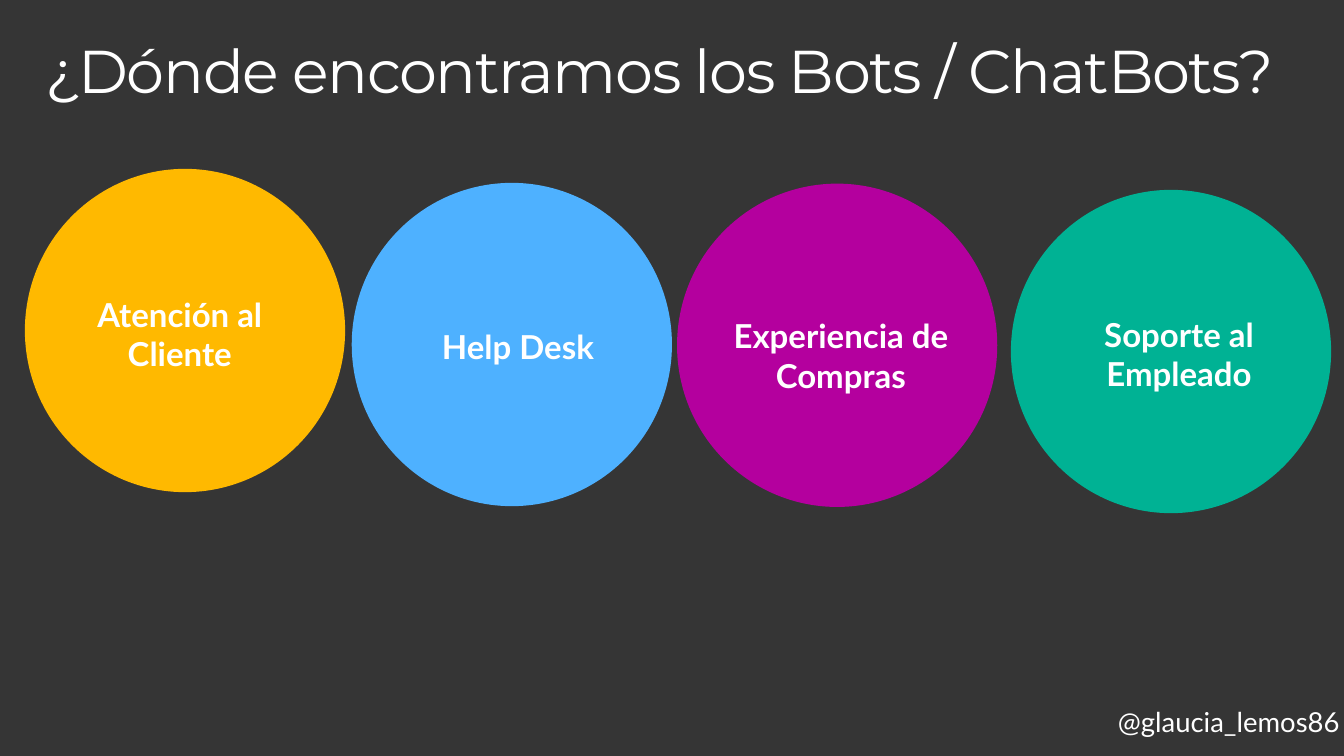
import pptx
import pptx.dml.color
import pptx.enum.shapes
import pptx.enum.text
import pptx.util

Cm = pptx.util.Cm
Pt = pptx.util.Pt
ALIGN = pptx.enum.text.PP_ALIGN

COLORS = {
    "background": "353535",
    "text": "FFFFFF",
    "yellow": "FFB900",
    "blue": "4EB1FF",
    "purple": "B4009E",
    "green": "00B294",
}


class BotSlide:
    body_font = "Lato"
    title_font = "Montserrat"
    circle_size = (8.23, 8.31)
    label_width = 7.72

    def __init__(self, deck):
        self.slide = deck.slides.add_slide(deck.slide_layouts[6])
        self.paint(self.slide.background.fill, "background")

    def paint(self, fill, color):
        fill.solid()
        fill.fore_color.rgb = pptx.dml.color.RGBColor.from_string(COLORS[color])

    def text(self, wording, box, size, font=None, bold=False, align=ALIGN.LEFT,
             insets=(0.51, 0.41), line_spacing=1.0, tracking=None):
        frame = self.slide.shapes.add_textbox(*map(Cm, box)).text_frame
        frame.word_wrap = True
        frame.vertical_anchor = pptx.enum.text.MSO_ANCHOR.TOP
        frame.margin_left = frame.margin_right = Cm(insets[0])
        frame.margin_top = frame.margin_bottom = Cm(insets[1])
        frame.text = wording
        paragraph = frame.paragraphs[0]
        paragraph.alignment = align
        paragraph.line_spacing = line_spacing
        run = paragraph.runs[0]
        run.font.name = font or self.body_font
        run.font.size = Pt(size)
        run.font.bold = bold
        self.paint(run.font.fill, "text")
        if tracking is not None:
            run.font._element.set("spc", str(tracking * 100))

    def title(self, wording):
        self.text(wording, (0.76, 0.81, 33.02, 2.54), 44, font=self.title_font,
                  insets=(0.41, 0.25), line_spacing=0.9, tracking=-1)

    def handle(self, wording):
        self.text(wording, (28.22, 17.83, 6.81, 1.6), 20, line_spacing=0.9)

    def circle(self, color, left, top):
        circle = self.slide.shapes.add_shape(
            pptx.enum.shapes.MSO_SHAPE.OVAL,
            Cm(left), Cm(top), *map(Cm, self.circle_size))
        circle.shadow.inherit = False
        self.paint(circle.fill, color)
        circle.line.fill.background()

    def label(self, wording, left, top, height):
        self.text(wording, (left, top, self.label_width, height), 24,
                  bold=True, align=ALIGN.CENTER)


def main():
    deck = pptx.Presentation()
    deck.slide_width = Cm(34.54)
    deck.slide_height = Cm(19.43)
    bots = BotSlide(deck)
    bots.title("¿Dónde encontramos los Bots / ChatBots?")
    bots.handle("@glaucia_lemos86")
    uses = [
        ("Atención al Cliente", "yellow", (0.64, 4.34), (0.76, 7.16, 2.87)),
        ("Help Desk", "blue", (9.04, 4.7), (9.45, 7.98, 1.85)),
        ("Experiencia de Compras", "purple", (17.4, 4.72), (17.75, 7.7, 3.89)),
        ("Soporte al Empleado", "green", (25.98, 4.88), (26.44, 7.67, 3.89)),
    ]
    for wording, color, circle_place, label_place in uses:
        bots.circle(color, *circle_place)
        bots.label(wording, *label_place)
    deck.save("out.pptx")


if __name__ == "__main__":
    main()
